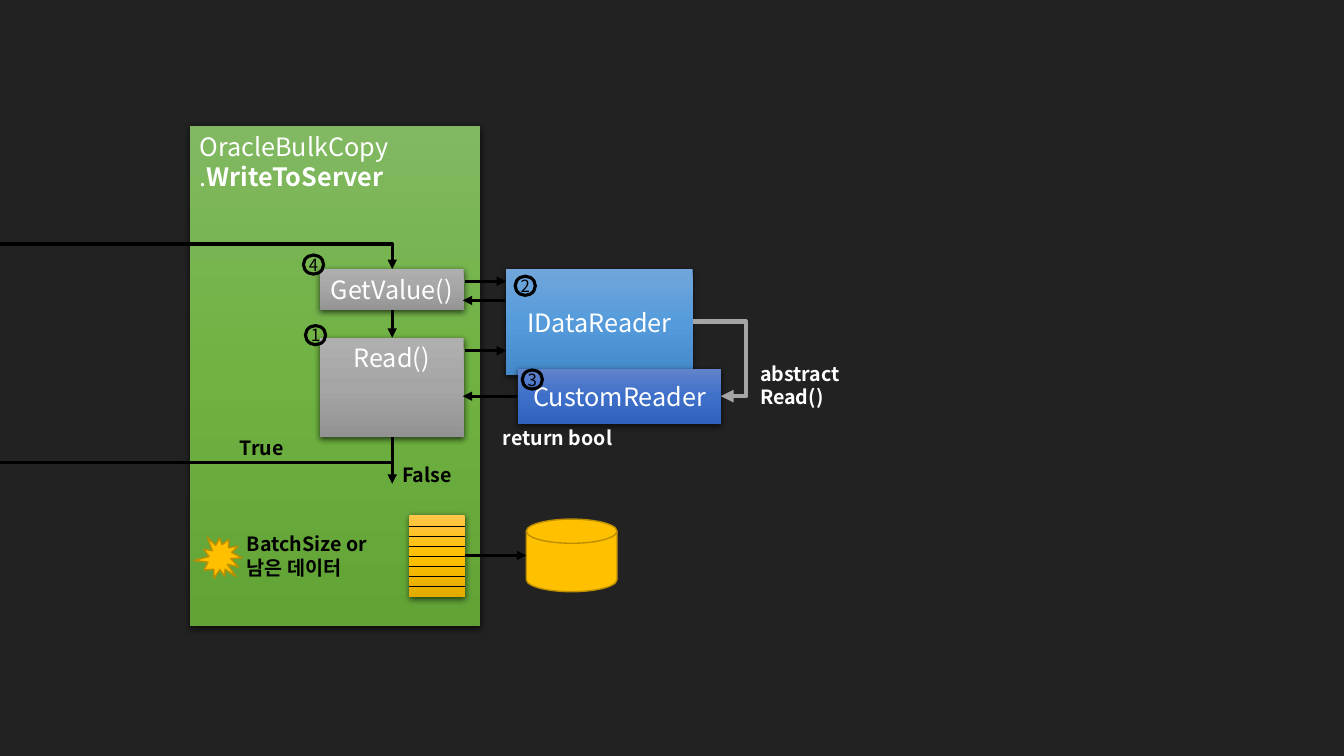
from lxml.etree import SubElement
from pptx import Presentation
from pptx.dml.color import RGBColor
from pptx.enum.shapes import MSO_CONNECTOR as CONN, MSO_SHAPE as SHAPE
from pptx.enum.text import MSO_ANCHOR as ANCHOR, PP_ALIGN as ALIGN
from pptx.oxml.ns import qn
from pptx.util import Inches, Pt

FONT = "Noto Sans CJK KR"
BLACK, WHITE, GRAY = "000000", "FFFFFF", "A5A5A5"
GOLD, GOLD_EDGE = "FFC000", "BD8E00"
GREEN_GRAD = ("81B861", "6FB242", "62A336")
SKY_GRAD = ("71A6DB", "559BDB", "448ACA")
BLUE_GRAD = ("6183CB", "3E70CA", "3062BB")
GRAY_GRAD = ("AFAFAF", "A5A5A5", "939393")
GOLD_GRAD = ("FFC64B", "FFC000", "E3AB00")


def rgb(value):
    return RGBColor.from_string(value)


def add_xml(parent, tag, **attrs):
    return SubElement(parent, qn(tag), {k: str(v) for k, v in attrs.items()})


class FlowSlide:
    def __init__(self, prs, background):
        self.s = prs.slides.add_slide(prs.slide_layouts[6])
        fill = self.s.background.fill
        fill.solid()
        fill.fore_color.rgb = rgb(background)

    def add_text(self, sp, lines, size, color, align=ALIGN.LEFT, anchor=ANCHOR.TOP):
        tf = sp.text_frame
        tf.word_wrap = True
        tf.vertical_anchor = anchor
        for i, runs in enumerate(lines):
            p = tf.paragraphs[0] if i == 0 else tf.add_paragraph()
            p.alignment = align
            for text, bold in runs:
                r = p.add_run()
                r.text = text
                r.font.size = Pt(size)
                r.font.bold = bold
                r.font.name = FONT
                r.font.color.rgb = rgb(color)
                add_xml(r._r.get_or_add_rPr(), "a:ea", typeface=FONT)
        return tf

    def shape(self, kind, box, fill=None, line=None, width=1):
        sp = self.s.shapes.add_shape(kind, *map(Inches, box))
        sp.shadow.inherit = False
        if fill:
            sp.fill.solid()
            sp.fill.fore_color.rgb = rgb(fill)
        else:
            sp.fill.background()
        if line:
            sp.line.color.rgb = rgb(line)
            sp.line.width = Pt(width)
        else:
            sp.line.fill.background()
        return sp

    def panel(self, box, colors, lines=(), align=ALIGN.CENTER, anchor=ANCHOR.TOP):
        sp = self.shape(SHAPE.RECTANGLE, box)
        sp.fill.gradient()
        sp.fill.gradient_angle = 270
        stops = sp._element.spPr.find(".//" + qn("a:gsLst"))
        for old in list(stops):
            stops.remove(old)
        for i, color in enumerate(colors):
            stop = add_xml(stops, "a:gs", pos=50000 * i)
            add_xml(stop, "a:srgbClr", val=color)
        effects = sp._element.spPr.find(qn("a:effectLst"))
        shadow = add_xml(effects, "a:outerShdw", blurRad=Pt(4.5), dist=Pt(1.5),
                         dir=5400000, algn="ctr", rotWithShape=0)
        add_xml(add_xml(shadow, "a:srgbClr", val=BLACK), "a:alpha", val=63000)
        self.add_text(sp, lines, 18, WHITE, align, anchor)

    def label(self, box, color, *lines):
        sp = self.s.shapes.add_textbox(*map(Inches, box))
        self.add_text(sp, [[(text, True)] for text in lines], 14, color)

    def badge(self, x, y, number):
        sp = self.shape(SHAPE.OVAL, (x, y, 0.2, 0.19), line=BLACK, width=2.25)
        tf = self.add_text(sp, [[(number, False)]], 12, BLACK, ALIGN.CENTER, ANCHOR.MIDDLE)
        tf.word_wrap = False
        tf.margin_left = tf.margin_right = 0

    def stroke(self, sp, color, width, arrow):
        sp.line.color.rgb = rgb(color)
        sp.line.width = Pt(width)
        if arrow:
            add_xml(sp._element.spPr.find(qn("a:ln")), "a:tailEnd", type="triangle")

    def line(self, start, end, color=BLACK, width=2.25, arrow=True, bend=None):
        kind = CONN.ELBOW if bend else CONN.STRAIGHT
        cn = self.s.shapes.add_connector(kind, *map(Inches, start + end))
        self.stroke(cn, color, width, arrow)
        spPr = cn._element.spPr
        add_xml(spPr, "a:effectLst")
        if bend:
            guides = spPr.find(".//" + qn("a:avLst"))
            add_xml(guides, "a:gd", name="adj1", fmla=f"val {round(bend * 100000)}")

    def route(self, *points, arrow=False):
        pts = [(Inches(x), Inches(y)) for x, y in points]
        fb = self.s.shapes.build_freeform(*pts[0])
        fb.add_line_segments(pts[1:], close=False)
        sp = fb.convert_to_shape()
        sp.shadow.inherit = False
        sp.fill.background()
        self.stroke(sp, BLACK, 2.25, arrow)


def main():
    prs = Presentation()
    prs.slide_width, prs.slide_height = Inches(13.33), Inches(7.5)
    s = FlowSlide(prs, "222222")

    s.panel((1.88, 1.25, 2.88, 4.96), GREEN_GRAD,
            [[("OracleBulkCopy", False)], [(".", False), ("WriteToServer", True)]],
            align=ALIGN.LEFT)
    s.panel((5.02, 2.67, 1.85, 1.05), SKY_GRAD, [[("IDataReader", False)]],
            anchor=ANCHOR.MIDDLE)
    s.panel((5.14, 3.66, 2.01, 0.55), BLUE_GRAD, [[("CustomReader", False)]],
            anchor=ANCHOR.MIDDLE)
    s.line((6.87, 3.19), (7.15, 3.93), GRAY, 3, bend=1.9)
    s.panel((3.17, 3.35, 1.43, 0.99), GRAY_GRAD, [[("Read()", False)]])

    s.label((2.35, 5.23, 2.02, 0.57), BLACK, "BatchSize or", "남은 데이터")
    s.label((7.44, 3.54, 1.63, 0.34), WHITE, "abstract Read()")
    s.label((4.89, 4.18, 1.63, 0.34), WHITE, "return bool")
    s.label((2.28, 4.28, 1.19, 0.34), BLACK, "True")
    s.label((3.89, 4.54, 0.86, 0.34), BLACK, "False")

    flow_x = 3.89
    s.route((flow_x, 4.34), (flow_x, 4.59), (0, 4.59))
    s.route((0, 2.42), (flow_x, 2.42), (flow_x, 2.67), arrow=True)
    s.line((flow_x, 4.59), (flow_x, 4.8))
    s.panel((3.17, 2.67, 1.43, 0.41), GRAY_GRAD, [[("GetValue()", False)]])
    s.line((flow_x, 3.08), (flow_x, 3.35))

    for start_x, end_x, y in ((4.61, 5.02, 2.79), (5.01, 4.59, 2.98),
                              (4.61, 5.02, 3.48), (5.13, 4.59, 3.93)):
        s.line((start_x, y), (end_x, y))

    s.shape(SHAPE.FLOWCHART_MAGNETIC_DISK, (5.22, 5.15, 0.9, 0.72), GOLD, GOLD_EDGE)
    s.panel((4.06, 5.11, 0.55, 0.81), GOLD_GRAD)
    burst = s.shape(SHAPE.EXPLOSION1, (1.99, 5.3, 0.4, 0.47), GOLD, GOLD_EDGE)
    burst.rotation = 310.6
    for row in range(7):
        y = 5.22 + 0.1 * row
        s.line((4.06, y), (4.61, y), width=0.5, arrow=False)
    s.line((4.61, 5.51), (5.22, 5.51))

    for x, y, number in ((3.03, 3.23, "1"), (5.11, 2.74, "2"),
                         (5.18, 3.67, "3"), (3.01, 2.53, "4")):
        s.badge(x, y, number)

    prs.save("out.pptx")


if __name__ == "__main__":
    main()
